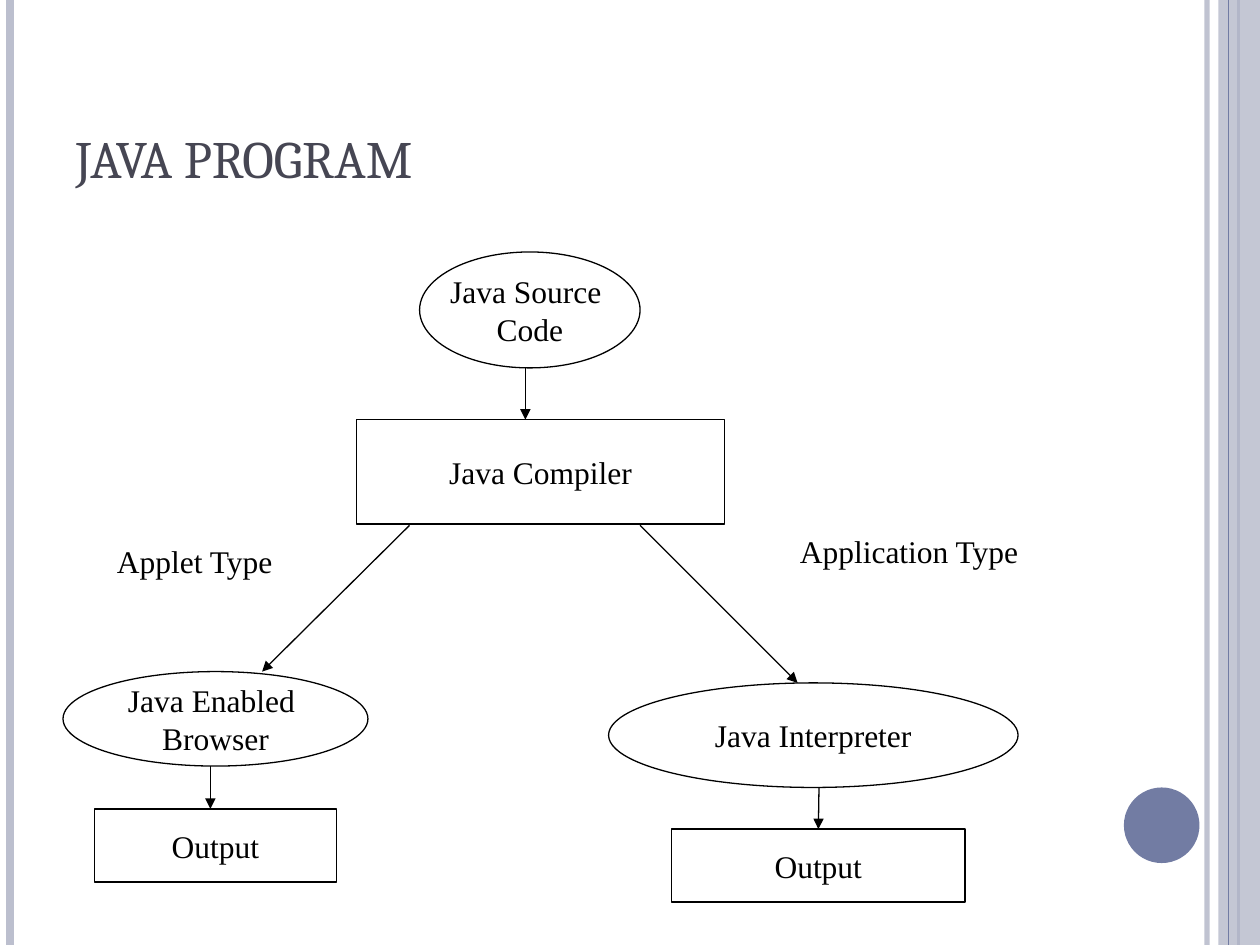
"""Build a slide with a flow chart of how a Java program is compiled and run."""
from pptx import Presentation
from pptx.dml.color import RGBColor
from pptx.enum.shapes import MSO_CONNECTOR, MSO_SHAPE
from pptx.enum.text import MSO_ANCHOR, PP_ALIGN
from pptx.oxml.ns import qn
from pptx.util import Inches, Pt
from lxml.etree import SubElement

BLACK = RGBColor(0x00, 0x00, 0x00)
WHITE = RGBColor(0xFF, 0xFF, 0xFF)
PALE = RGBColor(0xBC, 0xBF, 0xCE)
SLATE = RGBColor(0x72, 0x7C, 0xA3)
TITLE_INK = RGBColor(0x46, 0x46, 0x53)
BODY_FONT = {"name": "Times New Roman", "size": Pt(18)}
TITLE_FONT = {"name": "Cambria", "size": Pt(30), "bold": False}
HEIGHT = 7.5


def set_font(p, values, color):
    """Apply font values and a colour to a paragraph."""
    for name, value in values.items():
        setattr(p.font, name, value)
    p.font.color.rgb = color


def set_opacity(element, percent):
    """Set the opacity of the first solid colour in an element."""
    color = next(element.iter(qn("a:srgbClr")))
    SubElement(color, qn("a:alpha")).set("val", str(percent * 1000))


def add_line(s, start, end, color=BLACK, width=0.75, arrow=False):
    """Draw a straight line, with an arrowhead at its end if asked."""
    line = s.shapes.add_connector(
        MSO_CONNECTOR.STRAIGHT, *(Inches(v) for v in (*start, *end)))
    line.line.color.rgb = color
    line.line.width = Pt(width)
    if arrow:
        SubElement(line.line._ln, qn("a:tailEnd")).set("type", "triangle")
    SubElement(line._element.spPr, qn("a:effectLst"))
    return line


def add_shape(s, kind, box, fill, outline=None):
    """Add a flat preset shape."""
    sp = s.shapes.add_shape(kind, *(Inches(v) for v in box))
    sp.shadow.inherit = False
    sp.fill.solid()
    sp.fill.fore_color.rgb = fill
    if outline is None:
        sp.line.fill.background()
    else:
        sp.line.color.rgb = outline
        sp.line.width = Pt(0.75)
    return sp


def add_node(s, kind, box, *lines):
    """Add an outlined node with centred lines of text."""
    sp = add_shape(s, kind, box, WHITE, BLACK)
    tf = sp.text_frame
    tf.word_wrap = False
    tf.vertical_anchor = MSO_ANCHOR.MIDDLE
    tf.text = "\n".join(lines)
    for p in tf.paragraphs:
        p.alignment = PP_ALIGN.CENTER
        set_font(p, BODY_FONT, BLACK)
    return sp


def add_label(s, box, text):
    """Add a branch label."""
    tf = s.shapes.add_textbox(*(Inches(v) for v in box)).text_frame
    tf.word_wrap = True
    tf.text = text
    set_font(tf.paragraphs[0], BODY_FONT, BLACK)


def add_frame(s):
    """Draw the side stripes and the round ornament."""
    stripe = add_line(s, (9.58, 0), (9.58, HEIGHT), PALE, 3)
    set_opacity(stripe.line._ln, 93)
    add_line(s, (0.08, 0), (0.08, HEIGHT), PALE, 4.5)
    add_line(s, (9.83, 0), (9.83, HEIGHT), SLATE, 1.5)
    band = add_shape(s, MSO_SHAPE.RECTANGLE, (9.67, 0, 0.33, HEIGHT), PALE)
    set_opacity(band._element.spPr, 87)
    add_line(s, (9.75, 0), (9.75, HEIGHT), SLATE)
    add_shape(s, MSO_SHAPE.OVAL, (8.92, 6.25, 0.6, 0.6), SLATE)


def set_title(s, text):
    """Place and format the title."""
    title = s.shapes.title
    title.left, title.top, title.width, title.height = (
        Inches(v) for v in (0.5, 0.3, 8.17, 1.25))
    tf = title.text_frame
    tf.vertical_anchor = MSO_ANCHOR.BOTTOM
    tf.text = text
    p = tf.paragraphs[0]
    p.alignment = PP_ALIGN.LEFT
    set_font(p, TITLE_FONT, TITLE_INK)


def add_flow(s):
    """Draw the nodes, arrows and labels of the flow chart."""
    oval, rect = MSO_SHAPE.OVAL, MSO_SHAPE.RECTANGLE
    add_node(s, oval, (3.33, 2, 1.75, 0.92), "Java Source ", "Code")
    add_node(s, rect, (2.83, 3.33, 2.92, 0.83), "Java Compiler")
    add_node(s, oval, (0.5, 5.33, 2.42, 0.75), "Java Enabled ", "Browser")
    add_node(s, oval, (4.83, 5.42, 3.25, 0.83), "Java Interpreter")
    add_node(s, rect, (0.75, 6.42, 1.92, 0.58), "Output")
    output = add_node(s, rect, (5.33, 6.58, 2.33, 0.58), "Output")
    for start, end in (
        ((4.17, 2.92), (4.17, 3.33)),
        ((3.25, 4.17), (2.08, 5.33)),
        ((5.08, 4.17), (6.33, 5.42)),
        ((1.67, 6.08), (1.67, 6.42)),
    ):
        add_line(s, start, end, arrow=True)
    add_line(s, (6.5, 6.25), (6.5, 6.58), arrow=True).end_connect(output, 0)
    add_label(s, (6.25, 4.17, 2.58, 0.4), "Application Type")
    add_label(s, (0.83, 4.25, 1.58, 0.4), "Applet Type")


def main():
    """Build and save the slide."""
    prs = Presentation()
    prs.slide_width, prs.slide_height = Inches(10), Inches(HEIGHT)
    s = prs.slides.add_slide(prs.slide_layouts[5])
    add_frame(s)
    set_title(s, "JAVA PROGRAM")
    add_flow(s)
    prs.save("out.pptx")


if __name__ == "__main__":
    main()
